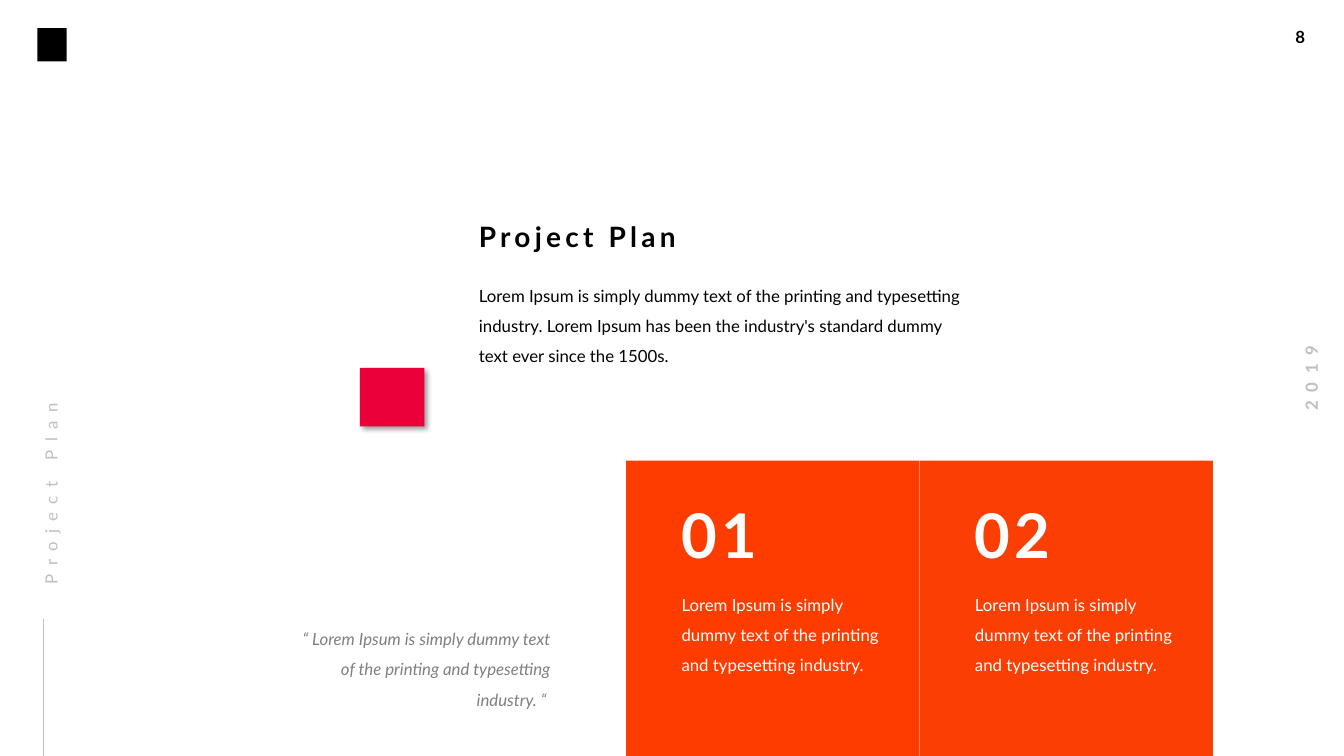
import pptx
import pptx.util
import pptx.dml.color
import pptx.enum.shapes
import pptx.enum.text
import pptx.oxml
import pptx.oxml.ns

PX = 9144
ALIGN = pptx.enum.text.PP_ALIGN
FIT = pptx.enum.text.MSO_AUTO_SIZE
TIGHT = (0, 0, 10, 0)
LOOSE = (10, 5, 10, 5)
BLACK = "000000"
WHITE = "FFFFFF"
SILVER = "BFBFBF"
GRAY = "808080"
LOREM = "Lorem Ipsum is simply dummy text of the printing and typesetting industry."


def tint(code):
    return pptx.dml.color.RGBColor.from_string(code)


def scale(*sizes):
    return [size * PX for size in sizes]


def place(shape, area):
    shape.left, shape.top, shape.width, shape.height = scale(*area)


def write(shape, text, size, color, bold=False, slant=False, gap=0,
          lead=1.0, align=ALIGN.LEFT, inset=TIGHT, wrap=True):
    frame = shape.text_frame
    frame.text = text
    frame.word_wrap = wrap
    frame.auto_size = FIT.SHAPE_TO_FIT_TEXT
    frame.vertical_anchor = pptx.enum.text.MSO_ANCHOR.TOP
    (frame.margin_left, frame.margin_top,
     frame.margin_right, frame.margin_bottom) = scale(*inset)
    for para in frame.paragraphs:
        para.alignment = align
        para.line_spacing = lead
        para.space_before = pptx.util.Pt(0)
        for run in para.runs:
            font = run.font
            font.name = "Lato"
            font.size = pptx.util.Pt(size)
            font.bold = bold
            font.italic = slant
            font.color.rgb = tint(color)
            if gap:
                run._r.get_or_add_rPr().set("spc", str(gap * 100))


def label(slide, area, text, size, color, turn=0, **style):
    box = slide.shapes.add_textbox(*scale(*area))
    box.rotation = turn
    write(box, text, size, color, **style)


def block(slide, area, fill):
    kind = pptx.enum.shapes.MSO_SHAPE.RECTANGLE
    shape = slide.shapes.add_shape(kind, *scale(*area))
    shape.shadow.inherit = False
    shape.fill.solid()
    shape.fill.fore_color.rgb = tint(fill)
    shape.line.fill.background()
    return shape


def shade(shape):
    space = pptx.oxml.ns.nsdecls("a")
    effect = pptx.oxml.parse_xml(
        f'<a:outerShdw {space} blurRad="50800" dist="38100" dir="2700000" '
        'algn="tl" rotWithShape="0"><a:srgbClr val="000000">'
        '<a:alpha val="40000"/></a:srgbClr></a:outerShdw>')
    shape._element.spPr.find(pptx.oxml.ns.qn("a:effectLst")).append(effect)


def rule(slide, start, end):
    kind = pptx.enum.shapes.MSO_CONNECTOR.STRAIGHT
    line = slide.shapes.add_connector(kind, *scale(*start, *end))
    line.line.color.rgb = tint(SILVER)
    line.line.width = pptx.util.Pt(0.5)
    pptx.oxml.ns.qn("a:effectLst")
    line._element.spPr.append(pptx.oxml.parse_xml(
        f'<a:effectLst {pptx.oxml.ns.nsdecls("a")}/>'))


def card(slide, left, mark, fill):
    block(slide, (left, 457, 291, 293), fill)
    label(slide, (left + 55, 493, 105, 74), mark, 44, WHITE, bold=True, gap=3)
    label(slide, (left + 55, 580, 222, 87), LOREM, 12, WHITE, lead=1.5)


def main():
    deck = pptx.Presentation()
    deck.slide_width, deck.slide_height = scale(1333, 750)
    slide = deck.slides.add_slide(deck.slide_layouts[5])

    title = slide.shapes.title
    place(title, (475, 218, 350, 34))
    write(title, "Project Plan", 20, BLACK, bold=True, gap=3)

    block(slide, (37, 28, 29, 33), BLACK)
    label(slide, (1275, 22, 41, 30), "8", 12, BLACK,
          bold=True, inset=LOOSE, wrap=False)
    label(slide, (1254, 360, 93, 30), "2019", 12, SILVER, turn=270,
          bold=True, gap=6, align=ALIGN.CENTER, inset=LOOSE, wrap=False)
    label(slide, (475, 273, 492, 87),
          LOREM + " Lorem Ipsum has been the industry's standard dummy "
          "text ever since the 1500s.", 12, BLACK, lead=1.5)

    rule(slide, (43, 750), (43, 614))
    label(slide, (-59, 464, 205, 26), "Project Plan", 12, SILVER,
          turn=270, gap=6, lead=1.5)

    card(slide, 912, "02", "FB3E03")
    card(slide, 621, "01", "FE3C00")
    label(slide, (300, 614, 256, 87), f"“ {LOREM} “ ", 12, GRAY,
          slant=True, lead=1.5, align=ALIGN.RIGHT)
    shade(block(slide, (357, 365, 64, 58), "EB003A"))

    deck.save("out.pptx")


if __name__ == "__main__":
    main()
